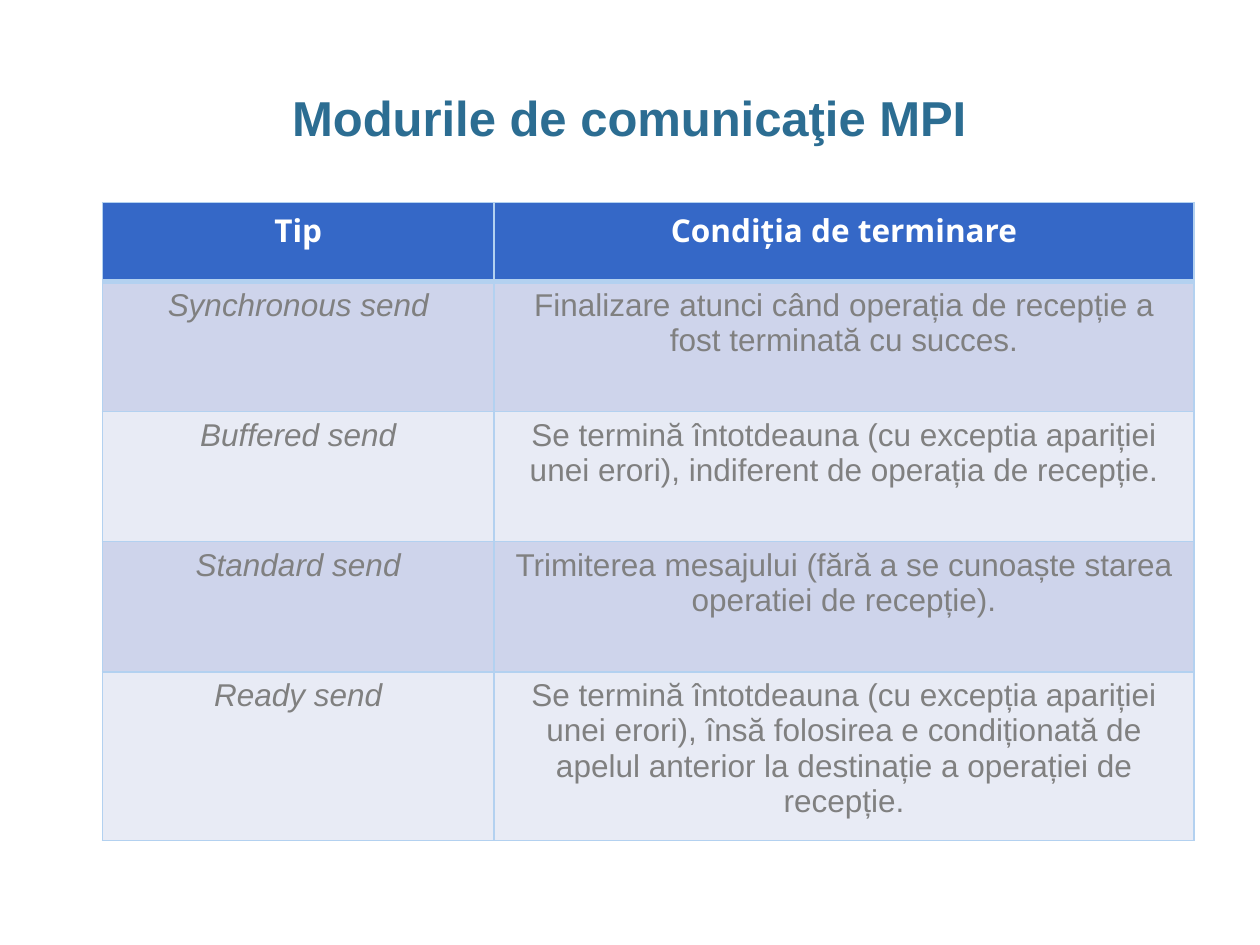
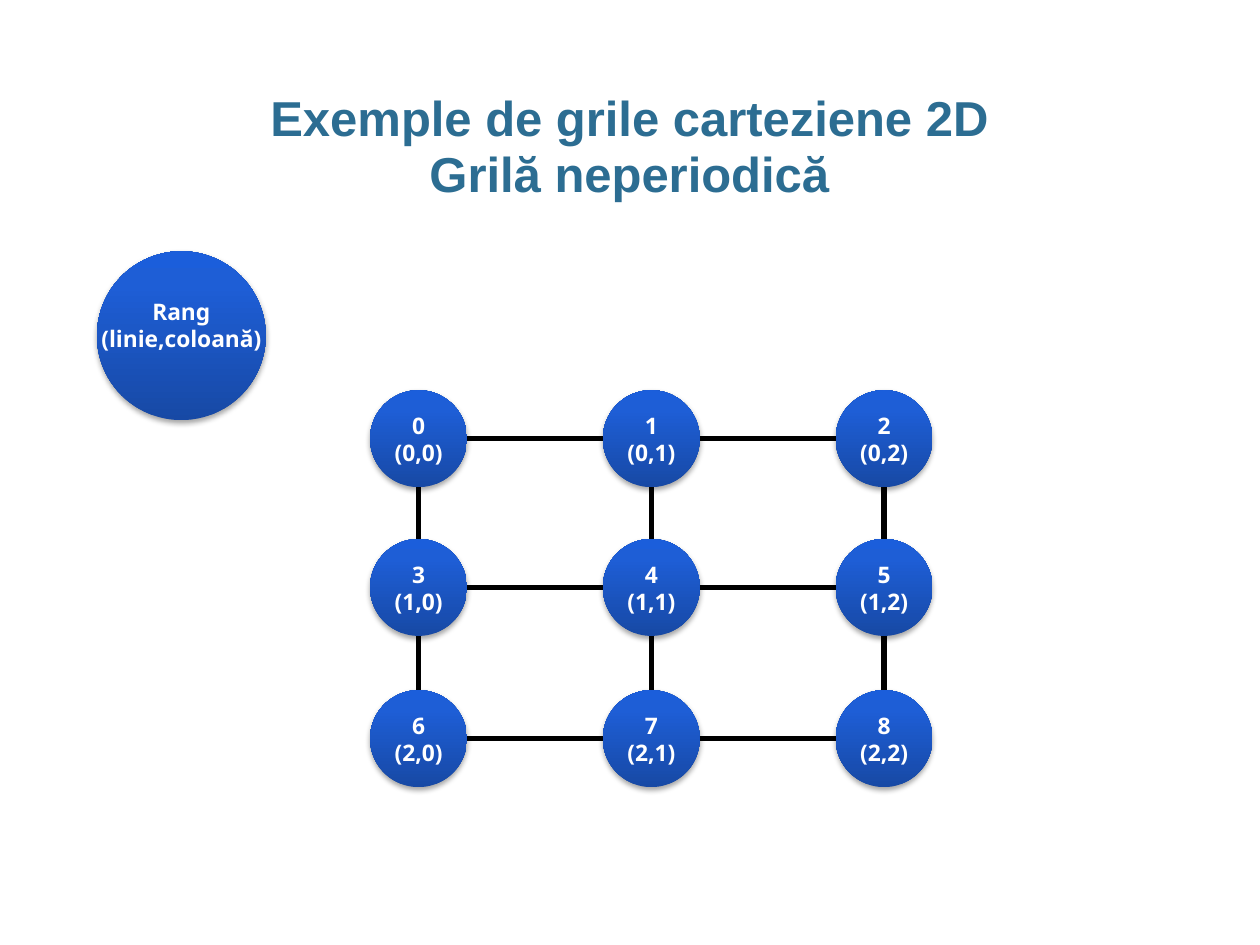
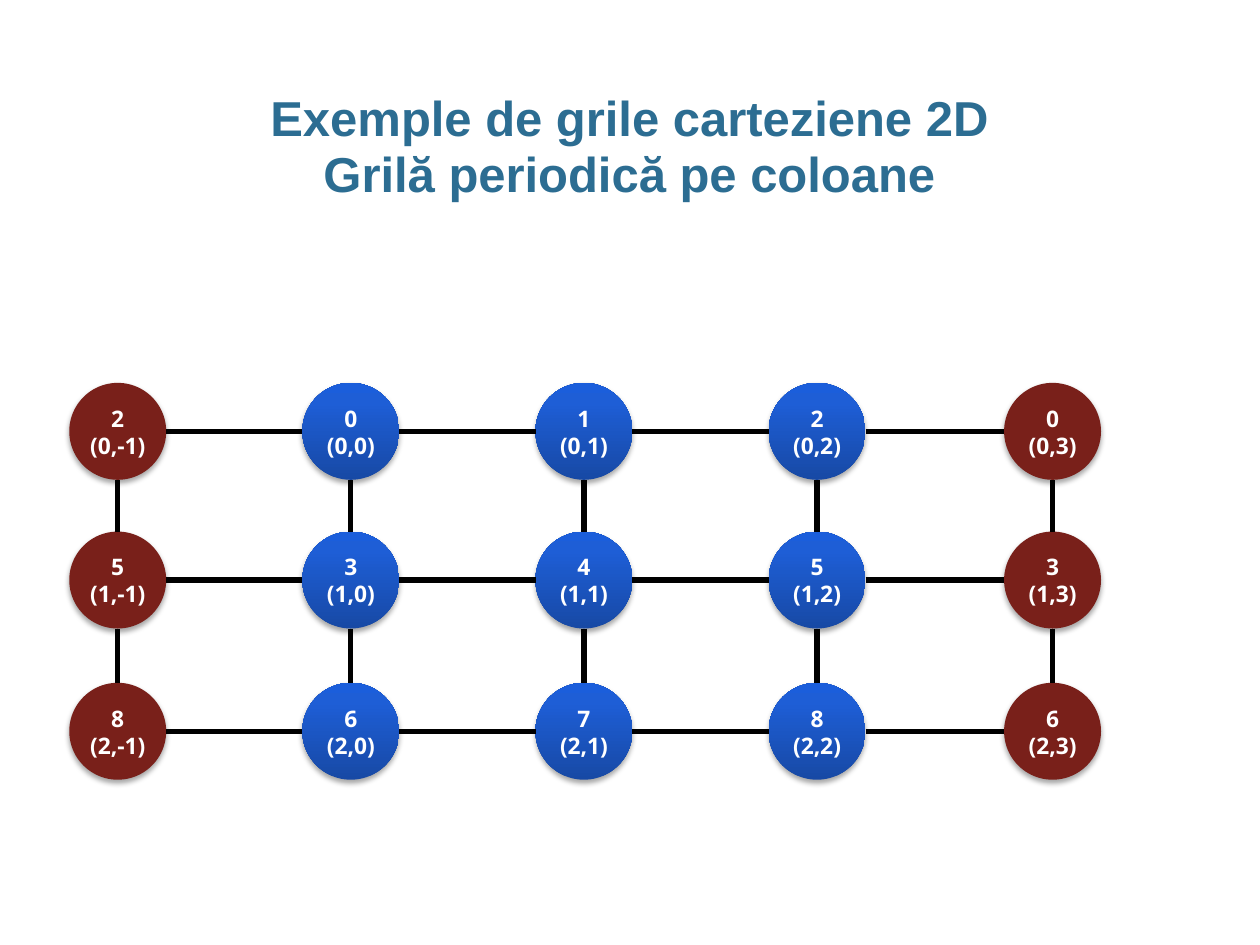
from copy import deepcopy
from itertools import product

from lxml.etree import SubElement
from pptx import Presentation
from pptx.dml.color import RGBColor
from pptx.enum.shapes import MSO_CONNECTOR as Connector, MSO_SHAPE as Shape
from pptx.enum.text import MSO_ANCHOR as Anchor, MSO_AUTO_SIZE as AutoSize, PP_ALIGN as Align
from pptx.oxml.ns import qn
from pptx.util import Pt

COLOURS = {
    "title": "2C6D92",
    "header": "3568C7",
    "band": "CED4EB",
    "light band": "E8EBF5",
    "border": "B3D1F0",
    "cell text": "808080",
    "white": "FFFFFF",
    "black": "000000",
    "wrapped": "79201A",
}
NODE_GRADIENT = [(0, "1749A5"), (0.8, "1E5ED6"), (1, "1B5EDB")]

NODE_SIZE = 55.4
GRID_COLUMNS = 3
ROW_OFFSETS = [0, 85, 171.4]

SEND_MODES = [
    ("Synchronous send",
     "Finalizare atunci când operația de recepție a fost terminată cu succes."),
    ("Buffered send",
     "Se termină întotdeauna (cu exceptia apariției unei erori), "
     "indiferent de operația de recepție."),
    ("Standard send",
     "Trimiterea mesajului (fără a se cunoaște starea operatiei de recepție)."),
    ("Ready send",
     "Se termină întotdeauna (cu excepția apariției unei erori), însă folosirea e "
     "condiționată de apelul anterior la destinație a operației de recepție."),
]


def rgb(name):
    return RGBColor.from_string(COLOURS[name])


def write(frame, text, size=18, font="Arial", colour="white", bold=False,
          italic=False, spacing=None):
    for index, line in enumerate(text.split("\n")):
        paragraph = frame.add_paragraph() if index else frame.paragraphs[0]
        paragraph.text = line
        paragraph.alignment = Align.CENTER
        paragraph.line_spacing = spacing
        for run in paragraph.runs:
            run.font.size = Pt(size)
            run.font.name = font
            run.font.color.rgb = rgb(colour)
            run.font.bold = bold
            run.font.italic = italic


def add_shadow(shape):
    shape.shadow.inherit = False
    effects = shape._element.spPr.find(qn("a:effectLst"))
    shadow = SubElement(effects, qn("a:outerShdw"), blurRad=str(Pt(3.1)),
                        dist=str(Pt(1.8)), dir="5400000", rotWithShape="0")
    colour = SubElement(shadow, qn("a:srgbClr"), val=COLOURS["black"])
    SubElement(colour, qn("a:alpha"), val="35000")


def fill_gradient(shape):
    shape.fill.gradient()
    shape.fill.gradient_angle = 90
    stops = shape._element.spPr.find(".//" + qn("a:gsLst"))
    stops.append(deepcopy(stops[-1]))
    for stop, (position, colour) in zip(shape.fill.gradient_stops, NODE_GRADIENT):
        stop.position = position
        stop.color.rgb = RGBColor.from_string(colour)


def set_borders(cell, top, bottom):
    properties = cell._tc.get_or_add_tcPr()
    widths = {"a:lnL": 1, "a:lnR": 1, "a:lnT": top, "a:lnB": bottom}
    for index, (tag, width) in enumerate(widths.items()):
        line = SubElement(properties, qn(tag), w=str(Pt(width)))
        fill = SubElement(line, qn("a:solidFill"))
        SubElement(fill, qn("a:srgbClr"), val=COLOURS["border"])
        properties.insert(index, line)


class Deck:
    def __init__(self):
        self.presentation = Presentation()
        self.presentation.slide_width = Pt(720)
        self.presentation.slide_height = Pt(540)
        self.slide = None

    def add_slide(self, title):
        layout = self.presentation.slide_layouts[5]
        self.slide = self.presentation.slides.add_slide(layout)
        shape = self.slide.shapes.title
        shape.left, shape.top = Pt(24.5), Pt(49)
        shape.width, shape.height = Pt(670.3), Pt(36)
        frame = shape.text_frame
        frame.auto_size = AutoSize.NONE
        frame.vertical_anchor = Anchor.TOP
        frame.margin_left = frame.margin_right = 0
        write(frame, title, size=28, colour="title", bold=True, spacing=0.95)

    def add_cell(self, cell, text, fill, top=1, bottom=1, **text_format):
        cell.fill.solid()
        cell.fill.fore_color.rgb = rgb(fill)
        write(cell.text_frame, text, **text_format)
        set_borders(cell, top, bottom)

    def add_table(self, header, rows, left, top, widths, heights):
        table = self.slide.shapes.add_table(
            len(heights), len(widths), Pt(left), Pt(top),
            Pt(sum(widths)), Pt(sum(heights))).table
        for column, width in zip(table.columns, widths):
            column.width = Pt(width)
        for row, height in zip(table.rows, heights):
            row.height = Pt(height)
        for column, text in enumerate(header):
            self.add_cell(table.cell(0, column), text, "header", bottom=3,
                          font="Noto Sans", bold=True)
        for row, texts in enumerate(rows, start=1):
            for column, text in enumerate(texts):
                self.add_cell(table.cell(row, column), text,
                              "band" if row % 2 else "light band",
                              top=3 if row == 1 else 1,
                              colour="cell text", italic=column == 0)

    def add_node(self, text, left, top, size=NODE_SIZE, label_offset=9, wrapped=False):
        group = self.slide.shapes.add_group_shape()
        circle = group.shapes.add_shape(Shape.OVAL, Pt(left), Pt(top), Pt(size), Pt(size))
        if wrapped:
            circle.fill.solid()
            circle.fill.fore_color.rgb = rgb("wrapped")
        else:
            fill_gradient(circle)
        circle.line.fill.background()
        add_shadow(circle)
        label = group.shapes.add_textbox(Pt(left), Pt(top + label_offset), Pt(size), Pt(38.9))
        frame = label.text_frame
        frame.word_wrap = True
        frame.margin_left = frame.margin_right = 0
        write(frame, text, size=13, font="Noto Sans", bold=True, spacing=Pt(15.4))

    def add_link(self, start, end):
        link = self.slide.shapes.add_connector(
            Connector.STRAIGHT, *(Pt(value) for value in (*start, *end)))
        link.line.color.rgb = rgb("black")
        link.line.width = Pt(3)
        SubElement(link._element.spPr, qn("a:effectLst"))

    def add_grid(self, lefts, top, first_column=0):
        tops = [top + offset for offset in ROW_OFFSETS]
        for (row, y), (index, x) in product(enumerate(tops), enumerate(lefts)):
            column = index + first_column
            rank = row * GRID_COLUMNS + column % GRID_COLUMNS
            self.add_node(f"{rank}\n({row},{column})", x, y,
                          wrapped=column not in range(GRID_COLUMNS))
        half = NODE_SIZE / 2
        for y, (x, next_x) in product(tops, zip(lefts, lefts[1:])):
            self.add_link((x + NODE_SIZE, y + half), (next_x, y + half))
        for x, (y, next_y) in product(lefts, zip(tops, tops[1:])):
            self.add_link((x + half, y + NODE_SIZE), (x + half, next_y))


def main():
    deck = Deck()

    deck.add_slide("Modurile de comunicaţie MPI")
    deck.add_table(("Tip", "Condiția de terminare"), SEND_MODES, left=58.5, top=115.8,
                   widths=[223.8, 400], heights=[45.2, 74.3, 74.3, 74.3, 96.5])

    deck.add_slide("Exemple de grile carteziene 2D\vGrilă neperiodică")
    deck.add_grid([211.5 + 133 * column for column in range(GRID_COLUMNS)], top=223)
    deck.add_node("Rang\n(linie,coloană)", 55.4, 143.6, size=96.5, label_offset=23.5)

    deck.add_slide("Exemple de grile carteziene 2D\vGrilă periodică pe coloane")
    deck.add_grid([39.6, 172.8, 306, 439.2, 573.8], top=218.8, first_column=-1)

    deck.presentation.save("out.pptx")


if __name__ == "__main__":
    main()
